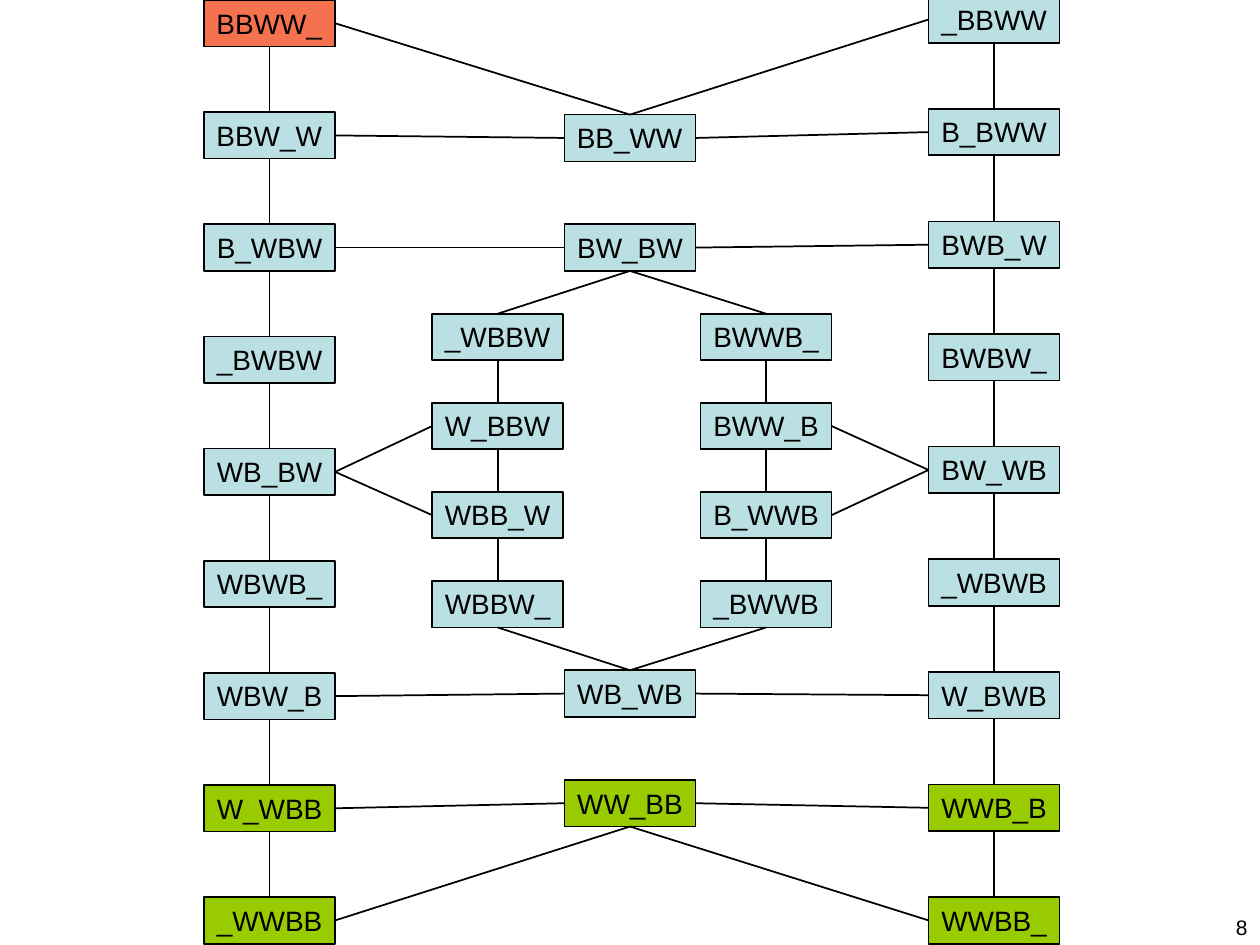
from dataclasses import dataclass
from itertools import pairwise

from lxml import etree
from pptx import Presentation
from pptx.dml import color
from pptx.enum import shapes, text
from pptx.oxml import ns
from pptx.shapes.autoshape import Shape
from pptx.slide import Slide
from pptx import util as u

BLACK, BLUE, GREEN, ORANGE = "000000", "BBE0E3", "99CC00", "F4724E"
TOP, LEFT, BOTTOM, RIGHT = range(4)
BOX_WIDTH, BOX_HEIGHT = 1.04, 0.37
START = "BBWW_"
GOALS = {"W_WBB", "_WWBB", "WW_BB", "WWB_B", "WWBB_"}
THIN_STATES = {"BBWW_", "BBW_W", "BB_WW"}


@dataclass(frozen=True)
class Column:
    left: float
    first_top: float
    last_top: float
    states: tuple[str, ...]
    chained: bool = True

    def top_of(self, row: int) -> float:
        pitch = (self.last_top - self.first_top) / (len(self.states) - 1)
        return self.first_top + row * pitch


@dataclass(frozen=True)
class Link:
    start: str
    start_side: int
    end: str
    end_side: int


COLUMNS = (
    Column(4.48, 0.91, 1.78, ("BB_WW", "BW_BW"), chained=False),
    Column(4.48, 5.32, 6.19, ("WB_WB", "WW_BB"), chained=False),
    Column(3.43, 2.49, 4.61, ("_WBBW", "W_BBW", "WBB_W", "WBBW_")),
    Column(5.56, 2.49, 4.61, ("BWWB_", "BWW_B", "B_WWB", "_BWWB")),
    Column(1.62, 0, 7.12, ("BBWW_", "BBW_W", "B_WBW", "_BWBW", "WB_BW",
                           "WBWB_", "WBW_B", "W_WBB", "_WWBB")),
    Column(7.37, -0.03, 7.12, ("_BBWW", "B_BWW", "BWB_W", "BWBW_", "BW_WB",
                               "_WBWB", "W_BWB", "WWB_B", "WWBB_")),
)

CROSS_LINKS = (
    Link("BBWW_", RIGHT, "BB_WW", TOP),
    Link("BB_WW", TOP, "_BBWW", LEFT),
    Link("BBW_W", RIGHT, "BB_WW", LEFT),
    Link("BB_WW", RIGHT, "B_BWW", LEFT),
    Link("B_WBW", RIGHT, "BW_BW", LEFT),
    Link("BW_BW", RIGHT, "BWB_W", LEFT),
    Link("BW_BW", BOTTOM, "_WBBW", TOP),
    Link("BW_BW", BOTTOM, "BWWB_", TOP),
    Link("WB_BW", RIGHT, "W_BBW", LEFT),
    Link("WB_BW", RIGHT, "WBB_W", LEFT),
    Link("BW_WB", LEFT, "BWW_B", RIGHT),
    Link("BW_WB", LEFT, "B_WWB", RIGHT),
    Link("WBBW_", BOTTOM, "WB_WB", TOP),
    Link("_BWWB", BOTTOM, "WB_WB", TOP),
    Link("WBW_B", RIGHT, "WB_WB", LEFT),
    Link("WB_WB", RIGHT, "W_BWB", LEFT),
    Link("W_WBB", RIGHT, "WW_BB", LEFT),
    Link("WW_BB", RIGHT, "WWB_B", LEFT),
    Link("WW_BB", BOTTOM, "_WWBB", RIGHT),
    Link("WW_BB", BOTTOM, "WWBB_", LEFT),
)


def rgb(value: str) -> color.RGBColor:
    return color.RGBColor.from_string(value)


def write(box: Shape, words: str, size: float, align: text.PP_ALIGN) -> None:
    para = box.text_frame.paragraphs[0]
    para.alignment = align
    span = para.add_run()
    span.text = words
    span.font.name = "Arial"
    span.font.size = u.Pt(size)
    span.font.color.rgb = rgb(BLACK)


def state_fill(state: str) -> str:
    if state == START:
        return ORANGE
    return GREEN if state in GOALS else BLUE


def add_state(page: Slide, state: str, left: float, top: float) -> Shape:
    box = page.shapes.add_shape(
        shapes.MSO_SHAPE.RECTANGLE, u.Inches(left), u.Inches(top),
        u.Inches(BOX_WIDTH), u.Inches(BOX_HEIGHT))
    thin = state in THIN_STATES
    box.shadow.inherit = False
    box.fill.solid()
    box.fill.fore_color.rgb = rgb(state_fill(state))
    box.line.color.rgb = rgb(BLACK)
    box.line.width = u.Pt(0.75 if thin else 1)
    frame = box.text_frame
    frame.word_wrap = False
    frame.auto_size = text.MSO_AUTO_SIZE.SHAPE_TO_FIT_TEXT
    frame.vertical_anchor = text.MSO_ANCHOR.TOP
    write(box, state, 16, text.PP_ALIGN.LEFT if thin else text.PP_ALIGN.CENTER)
    return box


def add_link(page: Slide, boxes: dict[str, Shape], link: Link) -> None:
    line = page.shapes.add_connector(shapes.MSO_CONNECTOR.STRAIGHT, 0, 0, 0, 0)
    line.begin_connect(boxes[link.start], link.start_side)
    line.end_connect(boxes[link.end], link.end_side)
    line.line.color.rgb = rgb(BLACK)
    line.line.width = u.Pt(1)
    etree.SubElement(line._element.spPr, ns.qn("a:effectLst"))


def add_page_number(page: Slide, number: str) -> None:
    box = page.shapes.add_textbox(
        u.Inches(7.67), u.Inches(7.21), u.Inches(2.33), u.Inches(0.28))
    box.text_frame.word_wrap = True
    write(box, number, 12, text.PP_ALIGN.RIGHT)


def main() -> None:
    deck = Presentation()
    deck.slide_width, deck.slide_height = u.Inches(10), u.Inches(7.5)
    page = deck.slides.add_slide(deck.slide_layouts[6])
    boxes = {
        state: add_state(page, state, column.left, column.top_of(row))
        for column in COLUMNS
        for row, state in enumerate(column.states)
    }
    chain_links = [
        Link(upper, BOTTOM, lower, TOP)
        for column in COLUMNS if column.chained
        for upper, lower in pairwise(column.states)
    ]
    for link in (*chain_links, *CROSS_LINKS):
        add_link(page, boxes, link)
    add_page_number(page, "8")
    deck.save("out.pptx")


if __name__ == "__main__":
    main()
